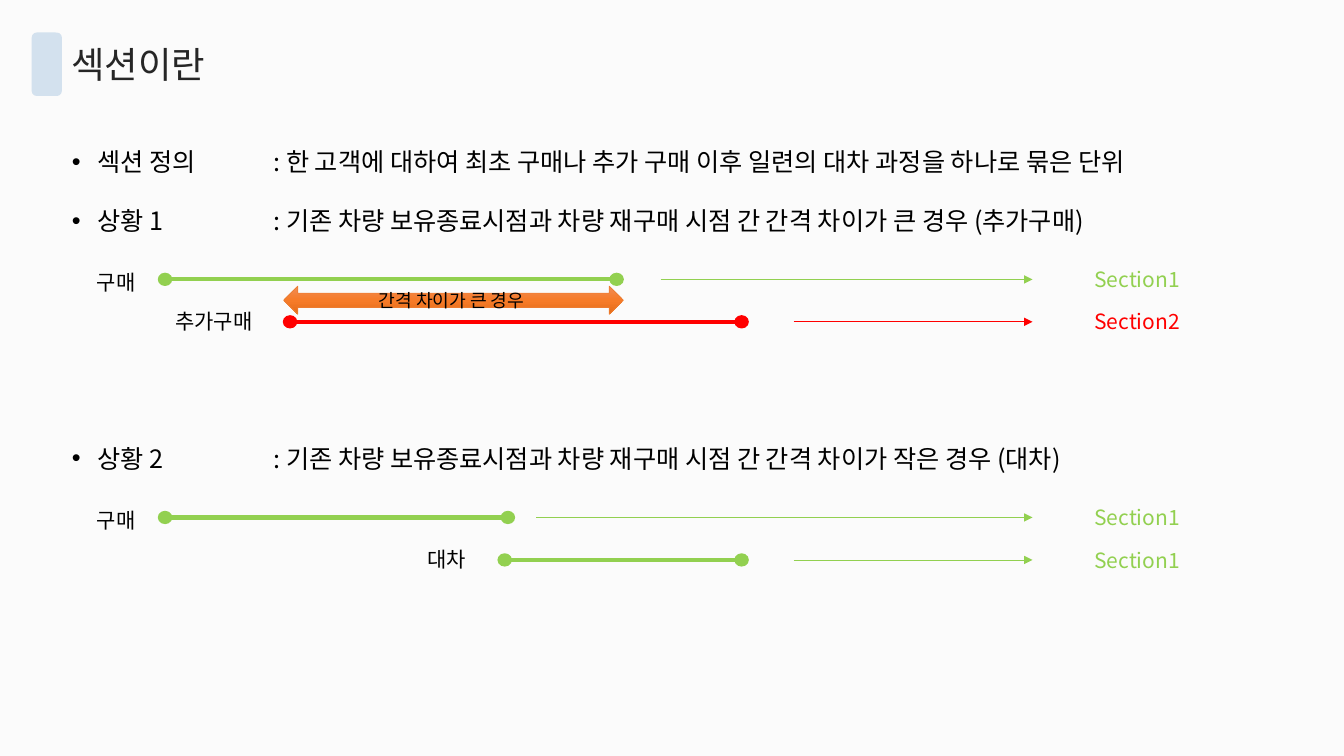
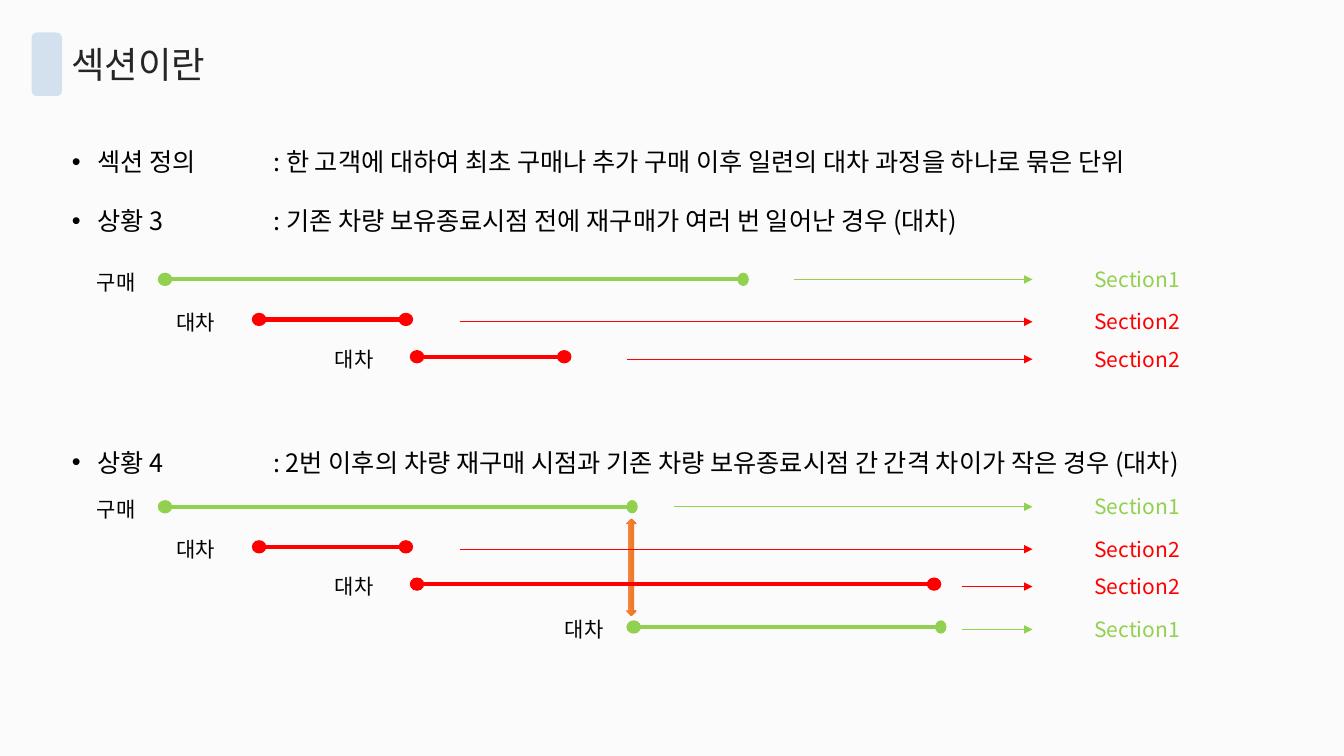
from dataclasses import dataclass

from lxml.etree import SubElement
from pptx import Presentation
from pptx.dml.color import RGBColor
from pptx.enum.shapes import MSO_CONNECTOR, MSO_SHAPE
from pptx.enum.text import MSO_ANCHOR, PP_ALIGN
from pptx.oxml import parse_xml
from pptx.oxml.ns import nsdecls, qn
from pptx.util import Cm, Pt


@dataclass(frozen=True)
class Theme:
    font: str = "Noto Sans CJK KR"
    background: str = "FBFBFB"
    title: str = "262626"
    text: str = "000000"
    marker: str = "D3E1EE"
    green: str = "92D050"
    red: str = "FF0000"
    orange: str = "ED7D31"
    gradient: tuple = ((0, "F18C57"), (50, "F67B28"), (100, "E56C19"))
    title_size: int = 26
    body_size: int = 18
    label_size: int = 15
    gap_size: int = 13


THEME = Theme()


@dataclass(frozen=True)
class Box:
    """An area of the slide, in centimetres."""
    left: float
    top: float
    width: float
    height: float

    def inner(self, left, top, width, height):
        return Box(self.left + left, self.top + top, width, height)

    def lengths(self):
        return Cm(self.left), Cm(self.top), Cm(self.width), Cm(self.height)


@dataclass(frozen=True)
class Lane:
    """One ownership period; x positions are measured from the chart box."""
    y: float
    label: str
    label_x: float
    start: float
    end: float
    arrow_start: float
    section: str
    color: str
    end_width: float = 0.33
    label_rise: float = 0.38
    arrow_drop: float = 0


HEADER = Box(0.8, 0.82, 6, 1.6)
BODY_LEFT, BODY_WIDTH = 1.56, 30.18
ARROW_END, SECTION_WIDTH = 24.46, 5.28
DOT_WIDTH, DOT_HEIGHT = 0.33, 0.3
LABEL_WIDTH, LABEL_HEIGHT = 2.84, 0.9
DEFINITION = "섹션 정의\t: 한 고객에 대하여 최초 구매나 추가 구매 이후 일련의 대차 과정을 하나로 묶은 단위"


# Basic parts
def style_para(para, size, color):
    for span in para.runs:
        span.font.size = Pt(size)
        span.font.name = THEME.font
        span.font.color.rgb = RGBColor.from_string(color)
        properties = span.font._element
        properties.set("kern", "0")
        SubElement(properties, qn("a:ea")).set("typeface", THEME.font)


def add_text(page, box, text, size, color, align=PP_ALIGN.CENTER):
    frame = page.shapes.add_textbox(*box.lengths()).text_frame
    frame.word_wrap = True
    para = frame.paragraphs[0]
    para.text = text
    para.alignment = align
    style_para(para, size, color)


def add_shape(page, kind, box, fill, line=None, line_width=1):
    shape = page.shapes.add_shape(kind, *box.lengths())
    shape.shadow.inherit = False
    shape.fill.solid()
    shape.fill.fore_color.rgb = RGBColor.from_string(fill)
    if line:
        shape.line.color.rgb = RGBColor.from_string(line)
        shape.line.width = Pt(line_width)
    else:
        shape.line.fill.background()
    return shape


def add_line(page, box, start, end, y, color, width, arrow=False):
    level = Cm(box.top + y)
    line = page.shapes.add_connector(
        MSO_CONNECTOR.STRAIGHT, Cm(box.left + start), level, Cm(box.left + end), level)
    line.line.color.rgb = RGBColor.from_string(color)
    line.line.width = Pt(width)
    if arrow:
        SubElement(line.line._get_or_add_ln(), qn("a:tailEnd")).set("type", "triangle")
    SubElement(line._element.spPr, qn("a:effectLst"))


# Title with its marker
def add_header(page, box, title):
    add_shape(page, MSO_SHAPE.ROUNDED_RECTANGLE, box.inner(0, 0, 0.76, box.height), THEME.marker)
    add_text(page, box.inner(0.75, 0.12, box.width - 0.75, 1.37), title,
             THEME.title_size, THEME.title, PP_ALIGN.LEFT)


# Bulleted statements, with the colons lined up on a tab stop
def add_bullets(page, box, lines):
    frame = page.shapes.add_textbox(*box.lengths()).text_frame
    frame.word_wrap = True
    for index, line in enumerate(lines):
        para = frame.add_paragraph() if index else frame.paragraphs[0]
        para.text = line
        properties = para._p.get_or_add_pPr()
        properties.set("marL", str(Cm(0.64)))
        properties.set("indent", str(-Cm(0.64)))
        SubElement(properties, qn("a:buFont")).set("typeface", "Arial")
        SubElement(properties, qn("a:buChar")).set("char", "•")
        stop = SubElement(SubElement(properties, qn("a:tabLst")), qn("a:tab"))
        stop.set("pos", str(Cm(5.08)))
        stop.set("algn", "l")
        para.line_spacing = 1.5
        if index:
            para.space_before = Pt(10)
        style_para(para, THEME.body_size, THEME.text)


# Two-headed arrow for the interval
def add_gap_arrow(page, box, text="", rotation=0):
    shape = add_shape(page, MSO_SHAPE.LEFT_RIGHT_ARROW, box, THEME.orange, THEME.orange, 0.5)
    shape.rotation = rotation
    stops = "".join(f'<a:gs pos="{place * 1000}"><a:srgbClr val="{color}"/></a:gs>'
                    for place, color in THEME.gradient)
    gradient = parse_xml(f'<a:gradFill {nsdecls("a")} rotWithShape="1"><a:gsLst>{stops}</a:gsLst>'
                         '<a:lin ang="5400000" scaled="0"/></a:gradFill>')
    properties = shape._element.spPr
    properties.replace(properties.find(qn("a:solidFill")), gradient)
    if text:
        frame = shape.text_frame
        frame.text = text
        frame.vertical_anchor = MSO_ANCHOR.MIDDLE
        frame.paragraphs[0].alignment = PP_ALIGN.CENTER
        style_para(frame.paragraphs[0], THEME.gap_size, THEME.text)


# Timeline: label, period with end dots, arrow, section
def add_lane(page, box, lane):
    add_line(page, box, lane.start, lane.end, lane.y, lane.color, 3)
    for x, width in ((lane.start, DOT_WIDTH), (lane.end, lane.end_width)):
        dot = box.inner(x - width / 2, lane.y - DOT_HEIGHT / 2, width, DOT_HEIGHT)
        add_shape(page, MSO_SHAPE.OVAL, dot, lane.color, lane.color)
    label = box.inner(lane.label_x - LABEL_WIDTH / 2, lane.y - lane.label_rise,
                      LABEL_WIDTH, LABEL_HEIGHT)
    add_text(page, label, lane.label, THEME.label_size, THEME.text)
    arrow_y = lane.y + lane.arrow_drop
    add_line(page, box, lane.arrow_start, ARROW_END, arrow_y, lane.color, 0.5, arrow=True)
    section = box.inner(ARROW_END, arrow_y - 0.45, SECTION_WIDTH, LABEL_HEIGHT)
    add_text(page, section, lane.section, THEME.label_size, lane.color)


def add_timeline(page, box, lanes):
    for lane in lanes:
        add_lane(page, box, lane)


def add_page(deck):
    page = deck.slides.add_slide(deck.slide_layouts[6])
    add_header(page, HEADER, "섹션이란")
    return page


def body_box(top, height):
    return Box(BODY_LEFT, top, BODY_WIDTH, height)


# Situations 1 and 2
def add_two_purchases(deck):
    page = add_page(deck)
    add_bullets(page, body_box(3.18, 5.87), [
        DEFINITION,
        "상황 1\t: 기존 차량 보유종료시점과 차량 재구매 시점 간 간격 차이가 큰 경우 (추가구매)"])
    wide_gap = body_box(7.04, 1.5)
    add_gap_arrow(page, wide_gap.inner(5.59, 0.17, 8.56, 0.71), "간격 차이가 큰 경우 ")
    add_timeline(page, wide_gap, [
        Lane(0, "구매", 1.37, 2.6, 13.98, 15.09, "Section1", THEME.green),
        Lane(1.07, "추가구매", 3.83, 5.75, 17.13, 18.44, "Section2", THEME.red, label_rise=0.46)])

    add_bullets(page, body_box(10.66, 4.01), [
        "상황 2\t: 기존 차량 보유종료시점과 차량 재구매 시점 간 간격 차이가 작은 경우 (대차)"])
    add_timeline(page, body_box(13.04, 1.5), [
        Lane(0, "구매", 1.37, 2.6, 11.24, 11.96, "Section1", THEME.green),
        Lane(1.07, "대차", 9.7, 11.16, 17.13, 18.44, "Section1", THEME.green, label_rise=0.46)])


# Situations 3 and 4
def add_repeat_purchases(deck):
    page = add_page(deck)
    add_bullets(page, body_box(3.18, 5.87), [
        DEFINITION,
        "상황 3\t: 기존 차량 보유종료시점 전에 재구매가 여러 번 일어난 경우 (대차)"])
    second = Lane(1.01, "대차", 3.38, 4.97, 8.67, 10.04, "Section2", THEME.red, arrow_drop=0.06)
    add_timeline(page, body_box(7.04, 2.5), [
        Lane(0, "구매", 1.37, 2.6, 17.17, 18.44, "Section1", THEME.green, end_width=0.25),
        second,
        Lane(1.95, "대차", 7.37, 8.95, 12.66, 14.25, "Section2", THEME.red, arrow_drop=0.06)])

    add_bullets(page, body_box(10.76, 4.01), [
        "상황 4\t: 2번 이후의 차량 재구매 시점과 기존 차량 보유종료시점 간 간격 차이가 작은 경우 (대차)"])
    small_gap = body_box(12.77, 3.5)
    add_gap_arrow(page, small_gap.inner(13.13, 1.4, 2.44, 0.25), rotation=270)
    add_timeline(page, small_gap, [
        Lane(0, "구매", 1.37, 2.6, 14.37, 15.42, "Section1", THEME.green, end_width=0.25),
        second,
        Lane(1.95, "대차", 7.37, 8.95, 21.98, 22.69, "Section2", THEME.red, arrow_drop=0.06),
        Lane(3.03, "대차", 13.16, 14.41, 22.15, 22.69, "Section1", THEME.green,
             end_width=0.25, arrow_drop=0.06)])


def main():
    deck = Presentation()
    deck.slide_width, deck.slide_height = Cm(33.87), Cm(19.05)
    background = deck.slide_master.background.fill
    background.solid()
    background.fore_color.rgb = RGBColor.from_string(THEME.background)
    add_two_purchases(deck)
    add_repeat_purchases(deck)
    deck.save("out.pptx")


if __name__ == "__main__":
    main()
